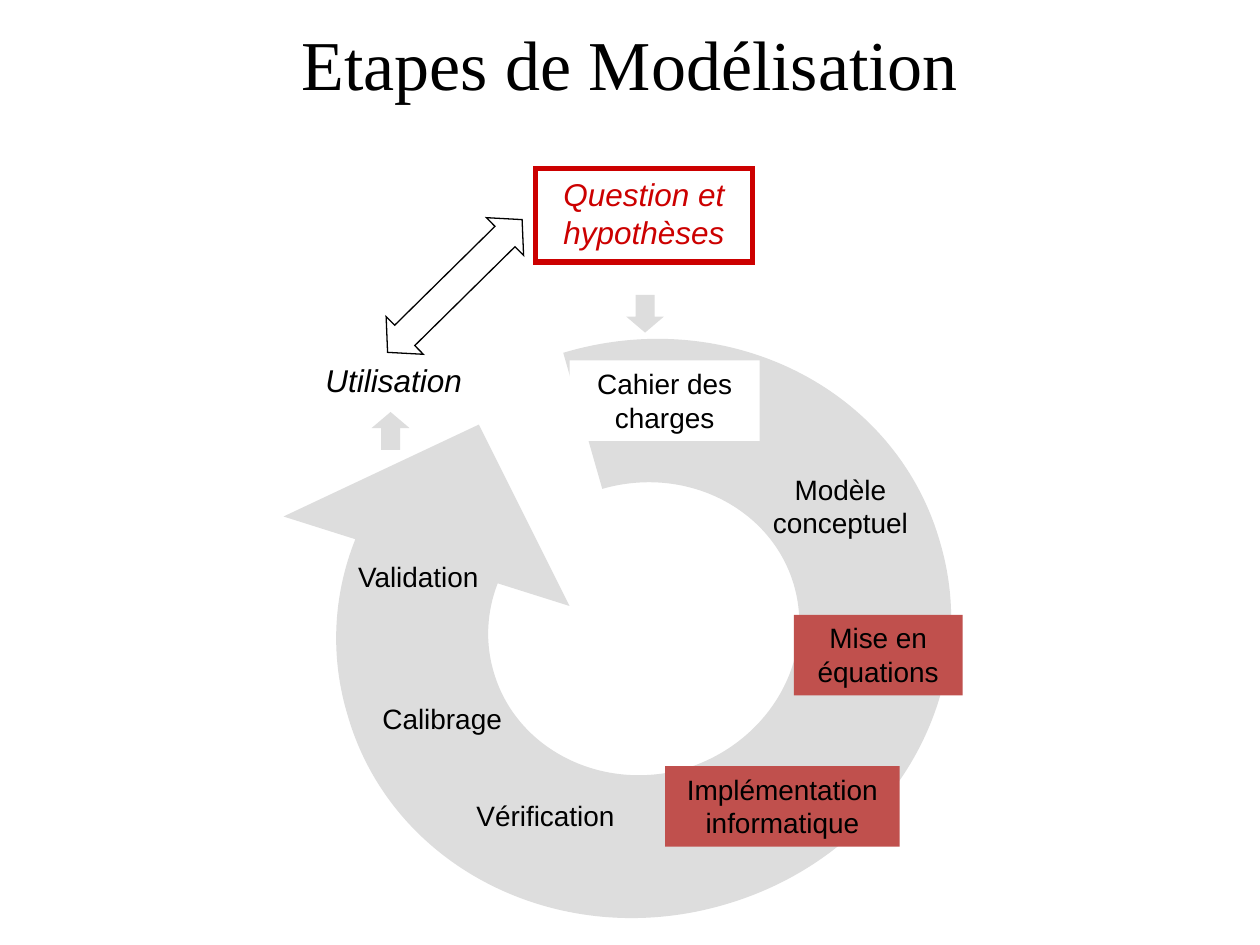
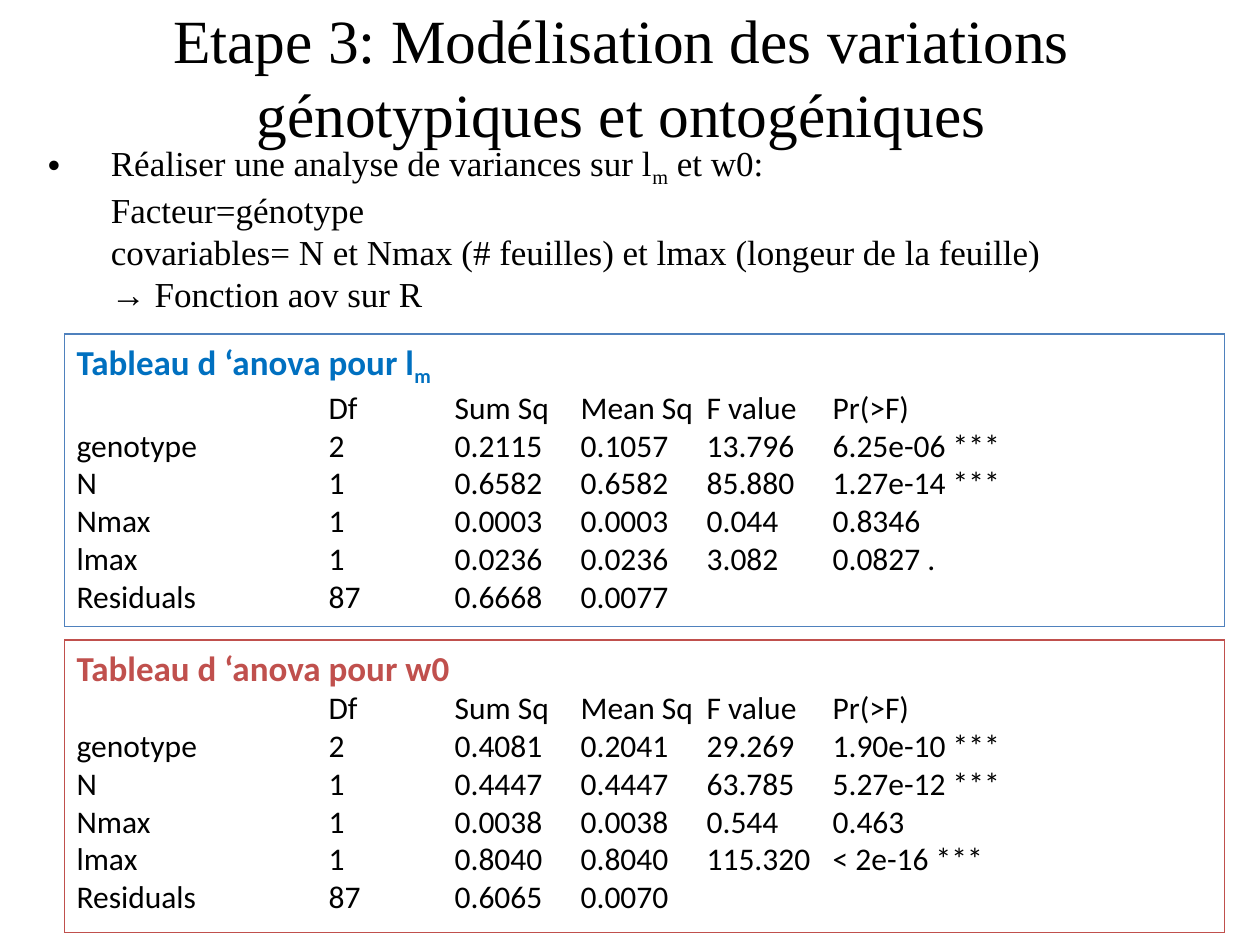
from dataclasses import dataclass
from math import cos, radians, sin
from typing import NamedTuple, Optional

from lxml import etree
from pptx import Presentation
from pptx.dml.color import RGBColor
from pptx.enum.shapes import MSO_SHAPE
from pptx.enum.text import MSO_ANCHOR, MSO_AUTO_SIZE, PP_ALIGN
from pptx.oxml.ns import qn
from pptx.util import Emu, Inches, Pt

RECT, FREE_ARROW = MSO_SHAPE.RECTANGLE, MSO_SHAPE.UP_DOWN_ARROW
DOWN, UP = MSO_SHAPE.DOWN_ARROW, MSO_SHAPE.UP_ARROW
LEFT, CENTER = PP_ALIGN.LEFT, PP_ALIGN.CENTER
TOP, MIDDLE = MSO_ANCHOR.TOP, MSO_ANCHOR.MIDDLE
NO_FIT = MSO_AUTO_SIZE.NONE

BLACK = RGBColor(0x00, 0x00, 0x00)
WHITE = RGBColor(0xFF, 0xFF, 0xFF)
GREY = RGBColor(0xDD, 0xDD, 0xDD)
RED = RGBColor(0xCC, 0x00, 0x00)
BRICK = RGBColor(0xC0, 0x50, 0x4D)
BLUE = RGBColor(0x4F, 0x81, 0xBD)
DEEP_BLUE = RGBColor(0x00, 0x70, 0xC0)

SERIF, SANS, TABLE_FONT = "Times New Roman", "Arial", "Calibri"

# The slide is a grid of 100 columns by 75 rows of square cells.
COLS, ROWS = 100, 75
CELL = Inches(0.1)
FINE = 1000  # freeform units in one cell


class Box(NamedTuple):
    """A place on the grid, in columns and rows."""
    col: float
    row: float
    cols: float
    rows: float

    def emu(self) -> list:
        """Left, top, width and height as lengths."""
        return [grid(n) for n in self]


@dataclass
class Style:
    """Look of a text run."""
    size: float
    font: str
    color: RGBColor = BLACK
    bold: bool = False
    italic: bool = False


@dataclass
class Step:
    """One labelled step of the modelling cycle."""
    text: str
    box: Box
    style: Style
    fill: Optional[RGBColor] = None
    line: Optional[RGBColor] = None


@dataclass
class Anova:
    """A framed analysis of variance."""
    title: list
    color: RGBColor
    frame_color: RGBColor
    box: Box
    fill: Optional[RGBColor]
    rows: list


def grid(n: float) -> Emu:
    """Length of n grid cells."""
    return Emu(round(n * CELL))


def add_runs(p, parts: list, style: Style) -> None:
    """Add text run by run; a part starting with '_' is a subscript."""
    for part in parts:
        r = p.add_run()
        r.text = part.lstrip("_")
        f = r.font
        f.size, f.name = Pt(style.size), style.font
        f.bold, f.italic = style.bold, style.italic
        f.color.rgb = style.color
        if part.startswith("_"):
            r._r.get_or_add_rPr().set("baseline", "-25000")


def place(sp, box: Box, anchor) -> None:
    """Move a placeholder and fix its text frame."""
    sp.left, sp.top, sp.width, sp.height = box.emu()
    tf = sp.text_frame
    tf.word_wrap, tf.auto_size, tf.vertical_anchor = True, NO_FIT, anchor


def set_title(s, text: str, box: Box, size: float) -> None:
    """Fill the title placeholder in the shared title style."""
    place(s.shapes.title, box, MIDDLE)
    p = s.shapes.title.text_frame.paragraphs[0]
    p.alignment = CENTER
    add_runs(p, [text], Style(size, SERIF))


def paint(sp, fill=None, line=None, width: float = 0.75) -> None:
    """Set fill and sharp-cornered outline, and drop the shadow."""
    sp.shadow.inherit = False
    if fill is None:
        sp.fill.background()
    else:
        sp.fill.solid()
        sp.fill.fore_color.rgb = fill
    if line is None:
        sp.line.fill.background()
    else:
        sp.line.color.rgb = line
        sp.line.width = Pt(width)
        ln = sp._element.spPr.find(qn("a:ln"))
        etree.SubElement(ln, qn("a:miter")).set("lim", "800000")


def add_shape(s, kind, box: Box, fill=None, line=None, width: float = 0.75):
    """Add a flat preset shape with optional fill and outline."""
    sp = s.shapes.add_shape(kind, *box.emu())
    paint(sp, fill, line, width)
    return sp


def set_arrow(sp, shaft: int, head: int) -> None:
    """Set shaft width and head length of a block arrow, in thousandths."""
    av = sp._element.spPr.find(qn("a:prstGeom")).find(qn("a:avLst"))
    for gd in list(av):
        av.remove(gd)
    for name, value in (("adj1", shaft), ("adj2", head)):
        gd = etree.SubElement(av, qn("a:gd"))
        gd.set("name", name)
        gd.set("fmla", f"val {value * 100}")


def write(sp, parts: list, style: Style, align) -> None:
    """Write one paragraph at the top of a shape."""
    tf = sp.text_frame
    tf.word_wrap, tf.vertical_anchor = True, TOP
    tf.paragraphs[0].alignment = align
    add_runs(tf.paragraphs[0], parts, style)


def add_step(s, step: Step) -> None:
    """Draw a step of the cycle."""
    if step.fill is None:
        sp = s.shapes.add_textbox(*step.box.emu())
    else:
        sp = add_shape(s, RECT, step.box, step.fill, step.line, 3)
    write(sp, [step.text], step.style, CENTER)


def to_local(point: tuple, box: Box, angle: float) -> tuple:
    """Slide point as a freeform point in a box turned by angle."""
    a = radians(angle)
    x = point[0] - box.col - box.cols / 2
    y = point[1] - box.row - box.rows / 2
    return (round((x * cos(a) + y * sin(a) + box.cols / 2) * FINE),
            round((y * cos(a) - x * sin(a) + box.rows / 2) * FINE))


def add_cycle_arrow(s, box: Box, angle: float) -> None:
    """Draw the big circular arrow with true curves."""
    left, top, cols, rows = (round(n * FINE) for n in box)
    fb = s.shapes.build_freeform(left, top, scale=CELL / FINE)
    fb.add_line_segments([(left + cols, top), (left + cols, top + rows),
                          (left, top + rows)], close=True)
    sp = fb.convert_to_shape()
    outline = next(sp._element.iter(qn("a:path")))
    for child in list(outline):
        outline.remove(child)
    for points in CYCLE:
        tag = "a:cubicBezTo" if len(points) == 3 else "a:lnTo"
        segment = etree.SubElement(outline, qn(tag if len(outline) else "a:moveTo"))
        for point in points:
            x, y = to_local(point, box, angle)
            pt = etree.SubElement(segment, qn("a:pt"))
            pt.set("x", str(x))
            pt.set("y", str(y))
    etree.SubElement(outline, qn("a:close"))
    sp.rotation = angle
    paint(sp, GREY)


def add_anova(s, anova: Anova) -> None:
    """Draw a framed text with its values aligned on tab stops."""
    sp = add_shape(s, RECT, anova.box, anova.fill, anova.frame_color)
    write(sp, anova.title, Style(20, TABLE_FONT, anova.color, bold=True), LEFT)
    for values in (ANOVA_HEAD, *anova.rows):
        p = sp.text_frame.add_paragraph()
        p.alignment = LEFT
        tabs = etree.SubElement(p._p.get_or_add_pPr(), qn("a:tabLst"))
        for stop in ANOVA_STOPS:
            tab = etree.SubElement(tabs, qn("a:tab"))
            tab.set("pos", str(grid(stop)))
            tab.set("algn", "l")
        add_runs(p, ["\t".join(values)], Style(18, TABLE_FONT))


def fill_body(s, box: Box, lines: list) -> None:
    """Fill the body placeholder: one bullet, then lines aligned with it."""
    sp = s.placeholders[1]
    place(sp, box, TOP)
    tf = sp.text_frame
    for i, parts in enumerate(lines):
        p = tf.add_paragraph() if i else tf.paragraphs[0]
        p.space_before = Pt(0)
        pPr = p._p.get_or_add_pPr()
        pPr.set("marL", str(grid(5)))
        pPr.set("indent", str(0 if i else -grid(5)))
        if i:
            etree.SubElement(pPr, qn("a:buNone"))
        add_runs(p, parts, Style(20, SERIF))


LABEL = Style(16, SANS)
STEPS = [
    Step("Utilisation", Box(21.6, 28.2, 19.3, 4), Style(18, SANS, italic=True)),
    Step("Cahier des charges", Box(45.2, 28.6, 15.1, 6.4), LABEL, WHITE),
    Step("Question et hypothèses", Box(42.5, 13.4, 17.2, 7.4),
         Style(18, SANS, RED, italic=True), WHITE, RED),
    Step("Modèle conceptuel", Box(60, 37, 13.4, 6.4), LABEL),
    Step("Implémentation informatique", Box(52.8, 60.8, 18.6, 6.4), LABEL, BRICK),
    Step("Vérification", Box(34, 62.9, 18.6, 3.7), LABEL),
    Step("Mise en équations", Box(63, 48.8, 13.4, 6.4), LABEL, BRICK),
    Step("Calibrage", Box(25.8, 55.2, 18.6, 3.7), LABEL),
    Step("Validation", Box(23.9, 43.9, 18.6, 3.7), LABEL),
]

# Inner arc, outer arc, then head: three points make a curve, one an edge.
CYCLE = [
    [(39.5, 46.3)],
    [(38.6, 48.6), (38.5, 51.1), (39.2, 53.4)],
    [(41, 59.5), (47.8, 62.9), (54.4, 61)],
    [(60.9, 59), (64.8, 52.5), (63, 46.4)],
    [(61.2, 40.3), (54.4, 36.9), (47.8, 38.8)],
    [(44.7, 28)],
    [(57.7, 24.1), (71.1, 30.8), (74.6, 43)],
    [(78.2, 55.1), (70.6, 68), (57.5, 71.8)],
    [(44.5, 75.6), (31.1, 68.9), (27.6, 56.8)],
    [(26.2, 52.2), (26.4, 47.3), (28.2, 42.8)],
    [(22.5, 41)], [(38, 33.7)], [(45.2, 48.1)], [(39.5, 46.3)],
]

ANOVA_STOPS = range(20, 70, 10)
ANOVA_HEAD = ("", "Df", "Sum Sq", "Mean Sq", "F value", "Pr(>F)")
ANOVAS = [
    Anova(["Tableau d ‘anova pour l", "_m"], DEEP_BLUE, BLUE,
          Box(5.1, 26.5, 92.1, 23.2), None, [
        ("genotype", "2", "0.2115", "0.1057", "13.796", "6.25e-06 ***"),
        ("N", "1", "0.6582", "0.6582", "85.880", "1.27e-14 ***"),
        ("Nmax", "1", "0.0003", "0.0003", "0.044", "0.8346"),
        ("lmax", "1", "0.0236", "0.0236", "3.082", "0.0827 ."),
        ("Residuals", "87", "0.6668", "0.0077")]),
    Anova(["Tableau d ‘anova pour w0"], BRICK, BRICK,
          Box(5.1, 50.8, 92.1, 23.2), WHITE, [
        ("genotype", "2", "0.4081", "0.2041", "29.269", "1.90e-10 ***"),
        ("N", "1", "0.4447", "0.4447", "63.785", "5.27e-12 ***"),
        ("Nmax", "1", "0.0038", "0.0038", "0.544", "0.463"),
        ("lmax", "1", "0.8040", "0.8040", "115.320", "< 2e-16 ***"),
        ("Residuals", "87", "0.6065", "0.0070")]),
]


def build_cycle_slide(prs) -> None:
    """Slide 1: the modelling cycle."""
    s = prs.slides.add_slide(prs.slide_layouts[5])
    set_title(s, "Etapes de Modélisation", Box(0, 0, COLS, 10), 40)
    s.shapes.title.fill.solid()
    s.shapes.title.fill.fore_color.rgb = WHITE
    link = add_shape(s, FREE_ARROW, Box(34, 15.2, 4.2, 15), line=BLACK)
    set_arrow(link, 539, 455)
    link.rotation = 45.4
    add_cycle_arrow(s, Box(28.3, 25.3, 45.7, 49.1), 73.6)
    for kind, col, row in ((UP, 29.5, 32.7), (DOWN, 49.7, 23.4)):
        set_arrow(add_shape(s, kind, Box(col, row, 3, 3), GREY), 503, 424)
    for step in STEPS:
        add_step(s, step)


def build_anova_slide(prs) -> None:
    """Slide 2: the analyses of variance."""
    s = prs.slides.add_slide(prs.slide_layouts[1])
    set_title(s, "Etape 3: Modélisation des variations génotypiques et ontogéniques",
              Box(4.3, -0.2, 90, 12.5), 35.1)
    fill_body(s, Box(2.8, 10.7, 85, 14.5), [
        ["Réaliser une analyse de variances sur l", "_m", " et w0:"],
        ["Facteur=génotype"],
        ["covariables= N et Nmax (# feuilles) et lmax (longeur de la feuille)"],
        ["→ Fonction aov sur R"]])
    for anova in ANOVAS:
        add_anova(s, anova)


prs = Presentation()
prs.slide_width, prs.slide_height = grid(COLS), grid(ROWS)
build_cycle_slide(prs)
build_anova_slide(prs)
prs.save("out.pptx")
